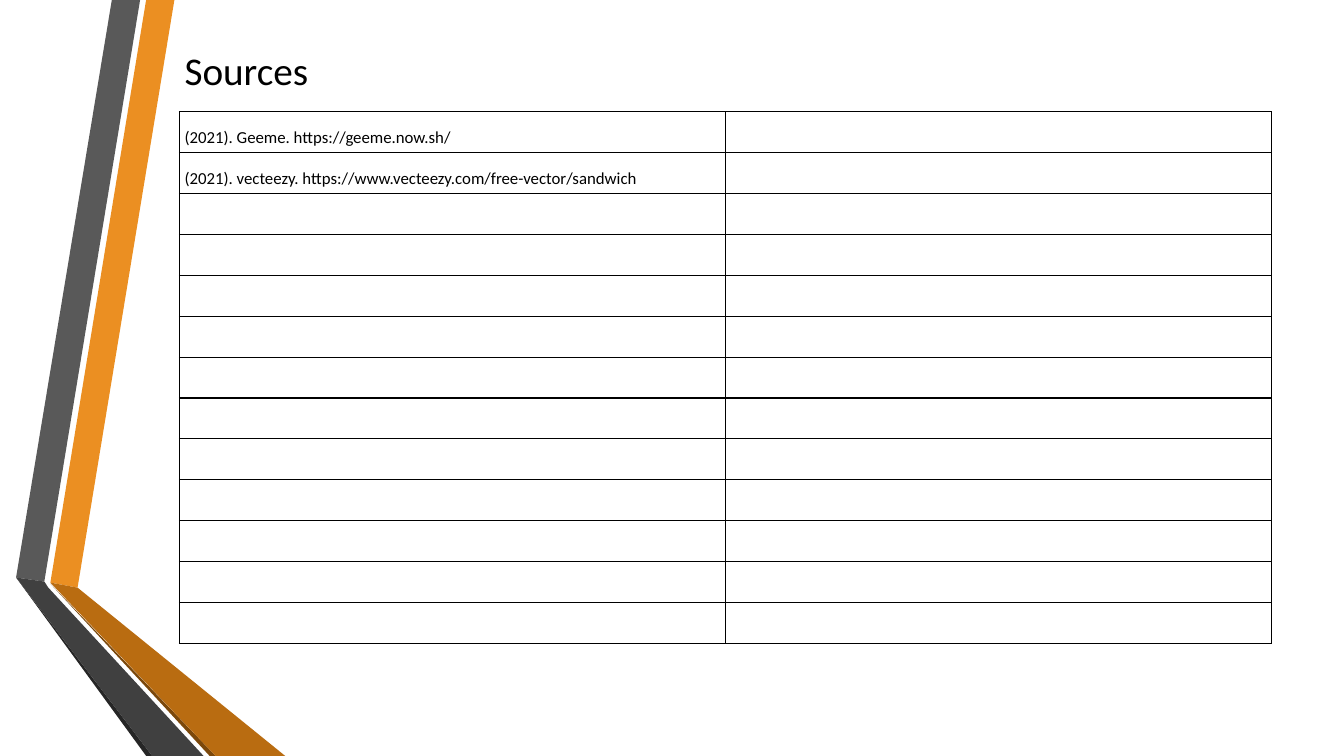
from collections import namedtuple

from lxml.etree import SubElement
from pptx import Presentation
from pptx.dml.color import RGBColor
from pptx.enum.text import MSO_ANCHOR, PP_ALIGN
from pptx.oxml.ns import qn
from pptx.util import Inches, Pt

Box = namedtuple("Box", "left top width height")

COLORS = {
    "text": "000000",
    "border": "000000",
    "orange": "EB8F22",
    "orange_fold": "B96C11",
    "orange_edge": "7B480B",
    "gray": "595959",
    "gray_fold": "404040",
    "gray_edge": "262626",
}
FONT = "Calibri"
MARGINS = {f"margin_{side}": Inches(0.05) for side in ("left", "top", "right", "bottom")}
ROW_COUNT, COLUMN_COUNT = 13, 2
SOURCES = [
    "(2021). Geeme. https://geeme.now.sh/",
    "(2021). vecteezy. https://www.vecteezy.com/free-vector/sandwich",
]
RIBBONS = [
    ("orange", [(0.34, 5.78), (0.61, 5.83), (1.57, 0), (1.29, 0)]),
    ("gray", [(1.23, 0), (0.95, 0), (0, 5.73), (0.28, 5.77)]),
    ("gray_edge", [(0, 5.73), (1.29, 7.5), (1.35, 7.5)]),
    ("orange_edge", [(0.34, 5.79), (1.92, 7.5), (1.98, 7.5)]),
    ("orange_fold", [(0.34, 5.78), (1.98, 7.5), (2.67, 7.5), (0.61, 5.83)]),
    ("gray_fold", [(1.86, 7.5), (0.32, 5.83), (0.28, 5.77), (0, 5.73), (1.35, 7.5)]),
]


def apply_format(target, values):
    """Set every attribute named in values on target."""
    for name, value in values.items():
        setattr(target, name, value)


def write_text(para, text, size):
    """Add a formatted span of text to a left-aligned paragraph."""
    para.alignment = PP_ALIGN.LEFT
    span = para.add_run()
    span.text = text
    apply_format(span.font, {"name": FONT, "size": Pt(size), "bold": False})
    span.font.color.rgb = RGBColor.from_string(COLORS["text"])


def add_ribbons(page, box):
    """Draw the folded ribbons from the top left corner of the box."""
    for color, points in RIBBONS:
        corners = [(Inches(box.left + x), Inches(box.top + y)) for x, y in points]
        builder = page.shapes.build_freeform(*corners[0])
        builder.add_line_segments(corners[1:], close=True)
        ribbon = builder.convert_to_shape()
        ribbon.shadow.inherit = False
        ribbon.fill.solid()
        ribbon.fill.fore_color.rgb = RGBColor.from_string(COLORS[color])
        ribbon.line.fill.background()


def add_title(page, box, text):
    """Move the title placeholder into the box and fill it."""
    title = page.shapes.title
    apply_format(title, {side: Inches(value) for side, value in box._asdict().items()})
    frame = title.text_frame
    apply_format(frame, {**MARGINS, "word_wrap": True, "vertical_anchor": MSO_ANCHOR.TOP})
    write_text(frame.paragraphs[0], text, 28)


def add_borders(cell):
    """Give a cell thin solid lines on all four sides."""
    properties = cell._tc.get_or_add_tcPr()
    for position, side in enumerate(("lnL", "lnR", "lnT", "lnB")):
        line = SubElement(properties, qn(f"a:{side}"), w=str(Pt(1)))
        fill = SubElement(line, qn("a:solidFill"))
        SubElement(fill, qn("a:srgbClr"), val=COLORS["border"])
        properties.insert(position, line)


def add_source_table(page, box):
    """Fill the box with an even grid listing the sources."""
    frame = page.shapes.add_table(ROW_COUNT, COLUMN_COUNT, *map(Inches, box))
    table = frame.table
    apply_format(table, {"first_row": False, "horz_banding": False})
    for cell in table.iter_cells():
        apply_format(cell, {**MARGINS, "vertical_anchor": MSO_ANCHOR.BOTTOM})
        cell.fill.background()
        add_borders(cell)
    for row, source in enumerate(SOURCES):
        write_text(table.cell(row, 0).text_frame.paragraphs[0], source, 12)


def main():
    """Build the sources slide and save the deck."""
    deck = Presentation()
    apply_format(deck, {"slide_width": Inches(13.33), "slide_height": Inches(7.5)})
    page = deck.slides.add_slide(deck.slide_layouts[5])
    add_ribbons(page, Box(0.16, 0, 2.67, 7.5))
    add_title(page, Box(1.78, 0.41, 9.77, 1.02), "Sources")
    add_source_table(page, Box(1.78, 1.11, 10.83, 5.27))
    deck.save("out.pptx")


if __name__ == "__main__":
    main()
